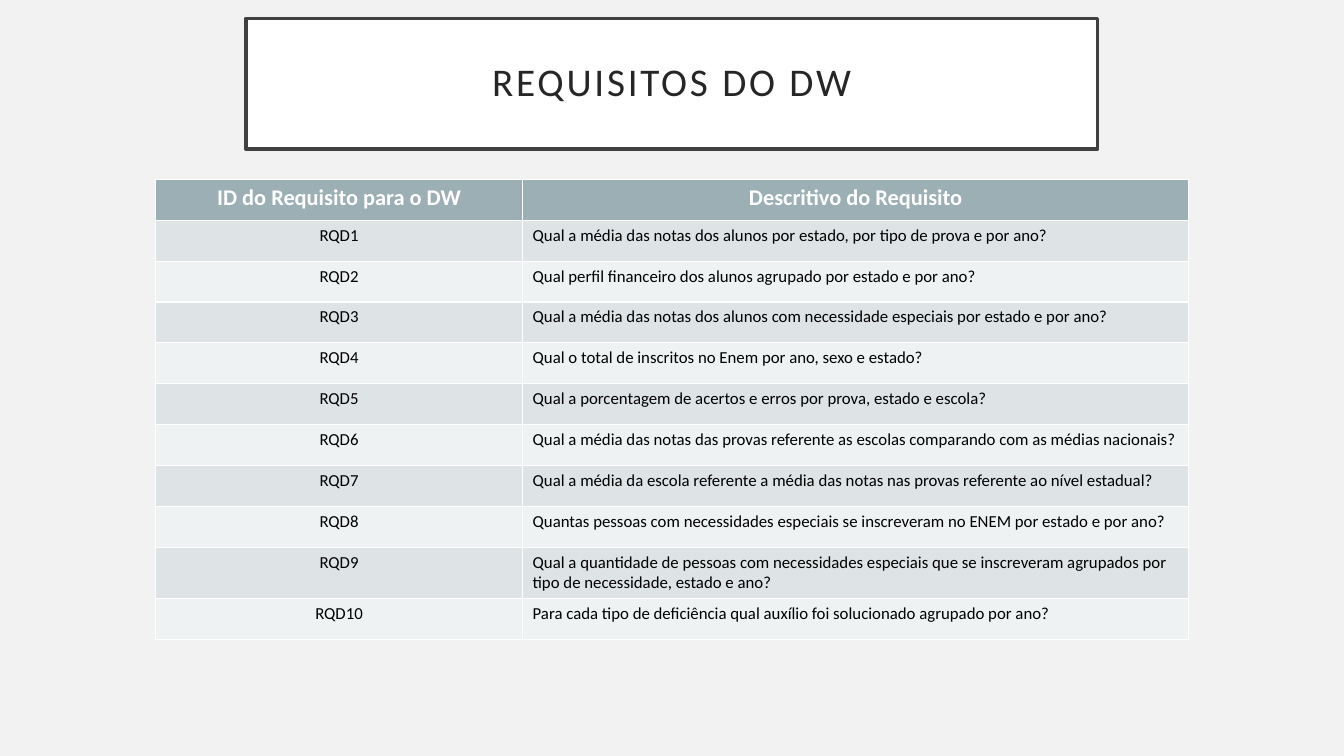
"""Build the slide listing the data warehouse requirements in a table."""
from pptx import Presentation
from pptx import util as u
from pptx.dml import color
from pptx.enum import text


def paint(fill, hex_code):
    fill.solid()
    fill.fore_color.rgb = color.RGBColor.from_string(hex_code)


def style(paragraph, size, hex_code, bold, align):
    paragraph.alignment = align
    for run in paragraph.runs:
        run.font.name = "Calibri"
        run.font.size = u.Pt(size)
        run.font.bold = bold
        paint(run.font.fill, hex_code)


CENTER, LEFT = text.PP_ALIGN.CENTER, text.PP_ALIGN.LEFT
headings = ["ID do Requisito para o DW", "Descritivo do Requisito"]
questions = [
    "Qual a média das notas dos alunos por estado, por tipo de prova e por ano?",
    "Qual perfil financeiro dos alunos agrupado por estado e por ano?",
    "Qual a média das notas dos alunos com necessidade especiais por estado e por ano?",
    "Qual o total de inscritos no Enem por ano, sexo e estado?",
    "Qual a porcentagem de acertos e erros por prova, estado e escola?",
    "Qual a média das notas das provas referente as escolas comparando com as médias nacionais?",
    "Qual a média da escola referente a média das notas nas provas referente ao nível estadual?",
    "Quantas pessoas com necessidades especiais se inscreveram no ENEM por estado e por ano?",
    "Qual a quantidade de pessoas com necessidades especiais que se inscreveram agrupados por "
    "tipo de necessidade, estado e ano?",
    "Para cada tipo de deficiência qual auxílio foi solucionado agrupado por ano?",
]

deck = Presentation()
deck.slide_width, deck.slide_height = u.Cm(33.87), u.Cm(19.05)
slide = deck.slides.add_slide(deck.slide_layouts[5])
paint(slide.background.fill, "F2F2F2")

heading = slide.shapes.title
heading.left, heading.top = u.Cm(6.2), u.Cm(0.46)
heading.width, heading.height = u.Cm(21.46), u.Cm(3.3)
paint(heading.fill, "FFFFFF")
paint(heading.line.fill, "404040")
heading.line.width = u.Pt(2.5)
frame = heading.text_frame
frame.text = "REQUISITOS DO DW"
frame.word_wrap = True
frame.auto_size = text.MSO_AUTO_SIZE.NONE
frame.vertical_anchor = text.MSO_ANCHOR.MIDDLE
frame.margin_left = frame.margin_right = frame.margin_top = frame.margin_bottom = u.Cm(0.5)
heading_line = frame.paragraphs[0]
heading_line.line_spacing = 0.9
style(heading_line, 28, "262626", False, CENTER)
heading_line.runs[0].font._element.set("spc", "200")

rows = [headings] + [[f"RQD{n}", question] for n, question in enumerate(questions, 1)]
row_height = u.Cm(1.03)
requirements = slide.shapes.add_table(
    len(rows), 2, u.Cm(3.92), u.Cm(4.52), u.Cm(26.04), row_height * len(rows)).table
requirements.columns[0].width = u.Cm(9.25)
requirements.columns[1].width = u.Cm(16.79)

for r, row in enumerate(rows):
    requirements.rows[r].height = row_height
    for c, wording in enumerate(row):
        cell = requirements.cell(r, c)
        cell.text = wording
        line = cell.text_frame.paragraphs[0]
        if r == 0:
            paint(cell.fill, "9BAFB5")
            style(line, 16, "FFFFFF", True, CENTER)
        else:
            paint(cell.fill, "DEE3E5" if r % 2 else "EFF2F3")
            style(line, 12, "000000", False, LEFT if c else CENTER)

deck.save("out.pptx")
